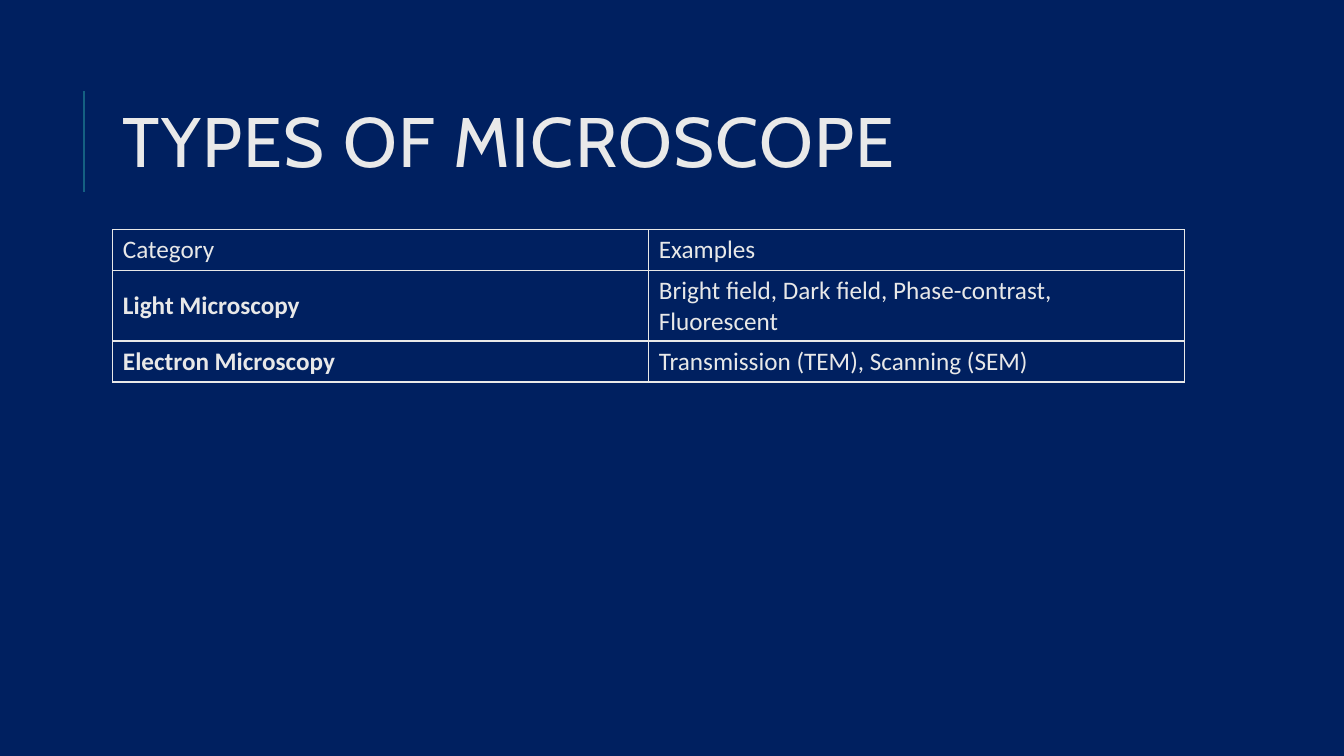
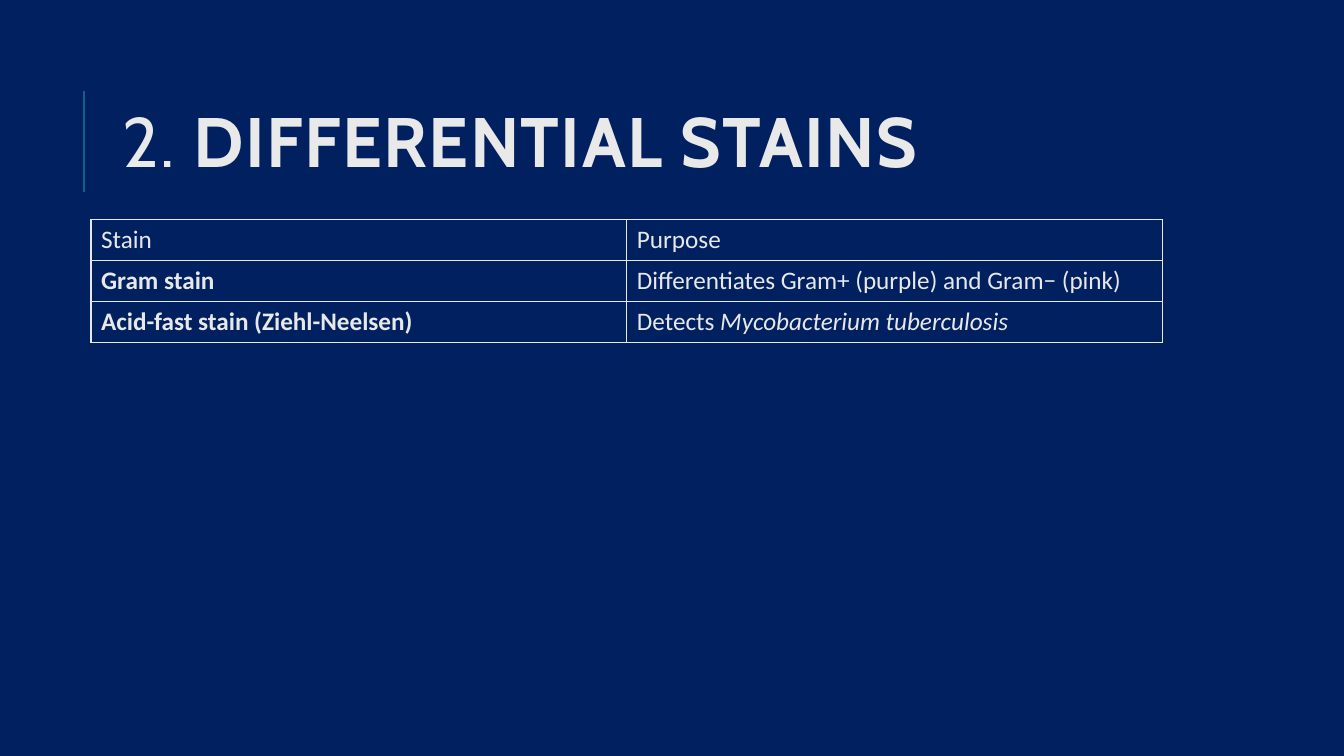
from dataclasses import dataclass

from lxml.etree import SubElement
from pptx import Presentation
from pptx.dml.color import RGBColor
from pptx.enum.shapes import MSO_CONNECTOR
from pptx.enum.text import MSO_ANCHOR
from pptx.oxml.ns import qn
from pptx.util import Pt


@dataclass(frozen=True)
class Theme:
    back: str = "002060"
    rule: str = "156082"
    head: str = "E9E9E9"
    body: str = "E8E8E8"
    head_font: str = "Cabin"
    body_font: str = "Calibri"
    head_size: int = 50
    body_size: int = 18
    track: int = 1
    edge: int = 1


THEME = Theme()
HEAD = {"name": THEME.head_font, "size": Pt(THEME.head_size), "bold": False}
BODY = {"name": THEME.body_font, "size": Pt(THEME.body_size), "bold": False}
BOLD = {"bold": True}
ITALIC = {"italic": True}
WIDTH = 765.6


def write(par, parts, base, color, track=0):
    """Add runs from (text, changes to the base format) pairs."""
    for text, extra in parts:
        run = par.add_run()
        run.text = text
        for key, value in {**base, **extra}.items():
            setattr(run.font, key, value)
        run.font.color.rgb = RGBColor.from_string(color)
        if track:
            run.font._element.set("spc", str(track * 100))


def add_rule(slide):
    line = slide.shapes.add_connector(
        MSO_CONNECTOR.STRAIGHT, Pt(60), Pt(136.8), Pt(60), Pt(64.8))
    line.line.color.rgb = RGBColor.from_string(THEME.rule)
    line.line.width = Pt(1.5)
    SubElement(line._element.spPr, qn("a:effectLst"))


def add_title(slide, parts):
    box = slide.shapes.add_textbox(Pt(80.64), Pt(46), Pt(WIDTH), Pt(118))
    frame = box.text_frame
    frame.word_wrap = True
    frame.vertical_anchor = MSO_ANCHOR.MIDDLE
    par = frame.paragraphs[0]
    par.line_spacing = 0.8
    write(par, parts, HEAD, THEME.head, THEME.track)


def add_edges(cell):
    props = cell._tc.get_or_add_tcPr()
    for side in ("lnL", "lnR", "lnT", "lnB"):
        edge = SubElement(props, qn(f"a:{side}"), w=str(Pt(THEME.edge)))
        fill = SubElement(edge, qn("a:solidFill"))
        SubElement(fill, qn("a:srgbClr"), val=THEME.body)


def add_grid(slide, left, top, rows):
    high = 29.2
    shape = slide.shapes.add_table(
        len(rows), len(rows[0]), Pt(left), Pt(top), Pt(WIDTH), Pt(high * len(rows)))
    grid = shape.table
    grid.first_row = grid.horz_banding = False
    for r, row in enumerate(rows):
        for c, parts in enumerate(row):
            cell = grid.cell(r, c)
            cell.vertical_anchor = MSO_ANCHOR.MIDDLE
            add_edges(cell)
            cell.fill.background()
            write(cell.text_frame.paragraphs[0], parts, BODY, THEME.body)


def add_page(deck, title, left, top, rows):
    slide = deck.slides.add_slide(deck.slide_layouts[6])
    fill = slide.background.fill
    fill.solid()
    fill.fore_color.rgb = RGBColor.from_string(THEME.back)
    add_rule(slide)
    add_title(slide, title)
    add_grid(slide, left, top, rows)


def main():
    deck = Presentation()
    deck.slide_width, deck.slide_height = Pt(960), Pt(540)
    add_page(deck, [("TYPES OF MICROSCOPE", {})], 80.64, 164, [
        [[("Category", {})], [("Examples", {})]],
        [[("Light Microscopy", BOLD)],
         [("Bright field, Dark field, Phase-contrast, Fluorescent", {})]],
        [[("Electron Microscopy", BOLD)],
         [("Transmission (TEM), Scanning (SEM)", {})]],
    ])
    add_page(deck, [("2. ", {}), ("DIFFERENTIAL STAINS", BOLD)], 65, 156.8, [
        [[("Stain", {})], [("Purpose", {})]],
        [[("Gram stain", BOLD)],
         [("Differentiates Gram+ (purple) and Gram− (pink)", {})]],
        [[("Acid-fast stain (Ziehl-Neelsen)", BOLD)],
         [("Detects ", {}), ("Mycobacterium tuberculosis", ITALIC)]],
    ])
    deck.save("out.pptx")


if __name__ == "__main__":
    main()
